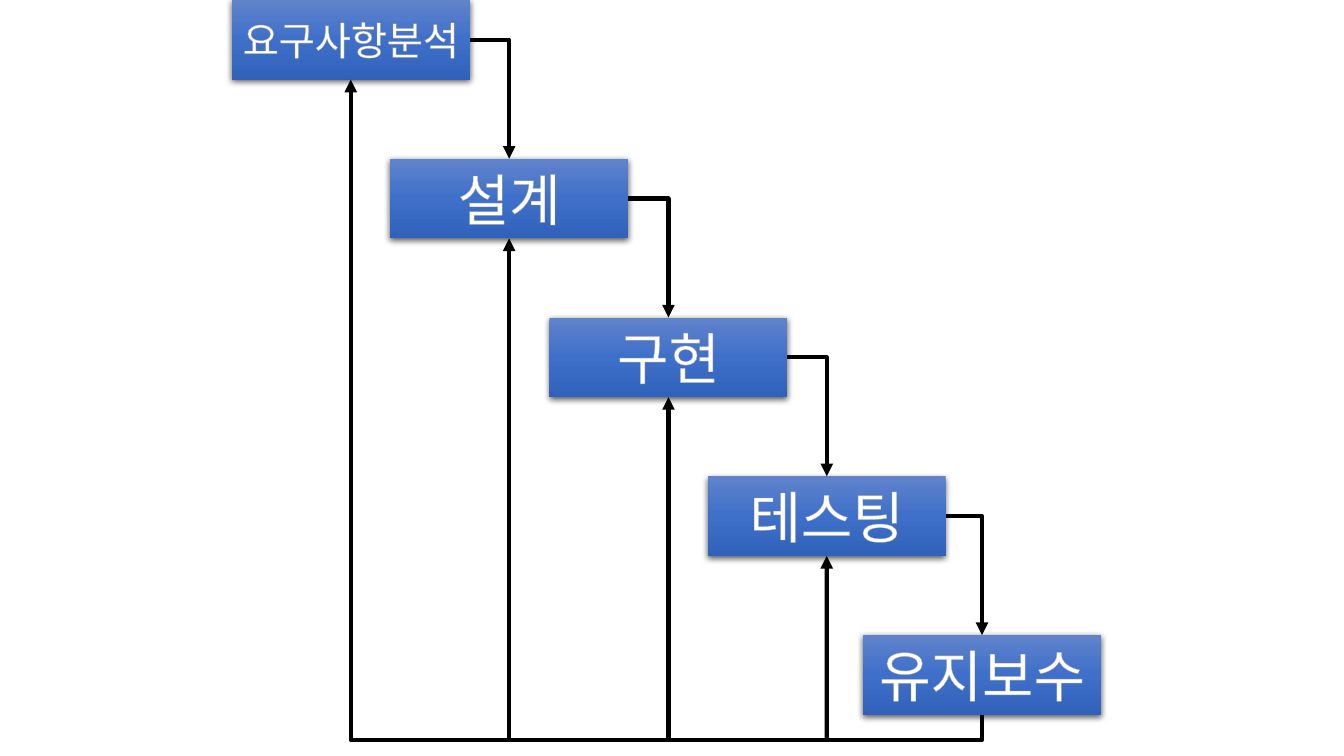
from pptx import Presentation
from pptx import oxml, util as u
from pptx.dml.color import RGBColor
from pptx.enum import shapes, text
from pptx.oxml import ns

BLACK = RGBColor(0x00, 0x00, 0x00)
WHITE = RGBColor(0xFF, 0xFF, 0xFF)
OUTLINE = RGBColor(0xA6, 0xA6, 0xA6)
GRADIENT = (
    (0, RGBColor(0x61, 0x83, 0xCB)),
    (50, RGBColor(0x3E, 0x70, 0xCA)),
    (100, RGBColor(0x30, 0x62, 0xBB)),
)
FONT = "Noto Sans CJK KR"

BOX_WIDTH, BOX_HEIGHT = 2.36, 0.79
STAIRCASE_HEIGHT = 6.3
BASELINE = 7.36

STAGES = (
    ("요구사항분석", 2.3, 28, 2.56, 0.57),
    ("설계", 3.87, 40, 1.32, 0.77),
    ("구현", 5.45, 40, 1.32, 0.77),
    ("테스팅", 7.02, 40, 1.88, 0.77),
    ("유지보수", 8.56, 40, 2.45, 0.77),
)


def element(tag, content="", **attributes):
    listed = " ".join(f'{name}="{value}"' for name, value in attributes.items())
    return oxml.parse_xml(f'<a:{tag} {ns.nsdecls("a")} {listed}>{content}</a:{tag}>')


class WaterfallPage:
    def __init__(self, deck):
        self.page = deck.slides.add_slide(deck.slide_layouts[6])

    def box(self, left, top):
        box = self.page.shapes.add_shape(
            shapes.MSO_SHAPE.RECTANGLE,
            u.Inches(left), u.Inches(top), u.Inches(BOX_WIDTH), u.Inches(BOX_HEIGHT),
        )
        properties = box.element.spPr
        stops = "".join(
            f'<a:gs pos="{position * 1000}"><a:srgbClr val="{color}"/></a:gs>'
            for position, color in GRADIENT
        )
        properties.append(element(
            "gradFill", f'<a:gsLst>{stops}</a:gsLst><a:lin ang="5400000" scaled="0"/>'))
        box.line.fill.background()
        properties.append(element(
            "effectLst",
            f'<a:outerShdw blurRad="{u.Pt(4.5)}" dist="{u.Pt(1.5)}" dir="5400000" '
            f'algn="ctr" rotWithShape="0"><a:srgbClr val="{BLACK}">'
            '<a:alpha val="63000"/></a:srgbClr></a:outerShdw>'))
        return box

    def label(self, words, center_x, center_y, size, width, height):
        label = self.page.shapes.add_textbox(
            u.Inches(center_x - width / 2), u.Inches(center_y - height / 2),
            u.Inches(width), u.Inches(height),
        )
        frame = label.text_frame
        frame.word_wrap = False
        frame.auto_size = text.MSO_AUTO_SIZE.SHAPE_TO_FIT_TEXT
        para = frame.paragraphs[0]
        para.alignment = text.PP_ALIGN.CENTER
        span = para.add_run()
        span.text = words
        span.font.size = u.Pt(size)
        span.font.color.rgb = WHITE
        span.font.name = FONT
        style = span.font._element
        style.append(element("ea", typeface=FONT))
        style.insert(0, element(
            "ln", f'<a:solidFill><a:srgbClr val="{OUTLINE}"/></a:solidFill>', w=0))

    def arrow(self, kind, begin_x, begin_y, end_x, end_y):
        arrow = self.page.shapes.add_connector(
            kind, u.Inches(begin_x), u.Inches(begin_y), u.Inches(end_x), u.Inches(end_y))
        arrow.line.color.rgb = BLACK
        arrow.line.width = u.Pt(3)
        arrow.line._get_or_add_ln().append(element("tailEnd", type="triangle"))
        arrow.element.spPr.append(element("effectLst"))
        return arrow

    def step_arrow(self, upper, lower):
        arrow = self.arrow(shapes.MSO_CONNECTOR.ELBOW, 0, 0, 1, 1)
        arrow.begin_connect(upper, 3)
        arrow.end_connect(lower, 0)
        arrow.element.spPr.find(ns.qn("a:prstGeom")).set("prst", "bentConnector2")

    def return_arrow(self):
        arrow = self.arrow(shapes.MSO_CONNECTOR.ELBOW, 9.76, 0.81, 3.46, 7.07)
        properties = arrow.element.spPr
        properties.find(ns.qn("a:xfrm")).set("rot", "5400000")
        adjustments = properties.find(ns.qn("a:prstGeom")).find(ns.qn("a:avLst"))
        adjustments.append(element("gd", name="adj1", fmla="val -4000"))

    def riser(self, center_x, box):
        arrow = self.arrow(
            shapes.MSO_CONNECTOR.STRAIGHT, center_x, BASELINE, center_x, BOX_HEIGHT)
        arrow.end_connect(box, 2)


def main():
    deck = Presentation()
    deck.slide_width = u.Inches(13.33)
    deck.slide_height = u.Inches(7.5)
    waterfall = WaterfallPage(deck)

    step = STAIRCASE_HEIGHT / (len(STAGES) - 1)
    boxes = [waterfall.box(stage[1], row * step) for row, stage in enumerate(STAGES)]
    centers = [stage[1] + BOX_WIDTH / 2 for stage in STAGES]

    for row, (words, left, size, width, height) in enumerate(STAGES):
        center_y = row * step + BOX_HEIGHT / 2
        waterfall.label(words, centers[row], center_y, size, width, height)

    for upper, lower in zip(boxes, boxes[1:]):
        waterfall.step_arrow(upper, lower)
    waterfall.return_arrow()
    for center_x, box in zip(centers[1:-1], boxes[1:-1]):
        waterfall.riser(center_x, box)

    deck.save("out.pptx")


if __name__ == "__main__":
    main()
